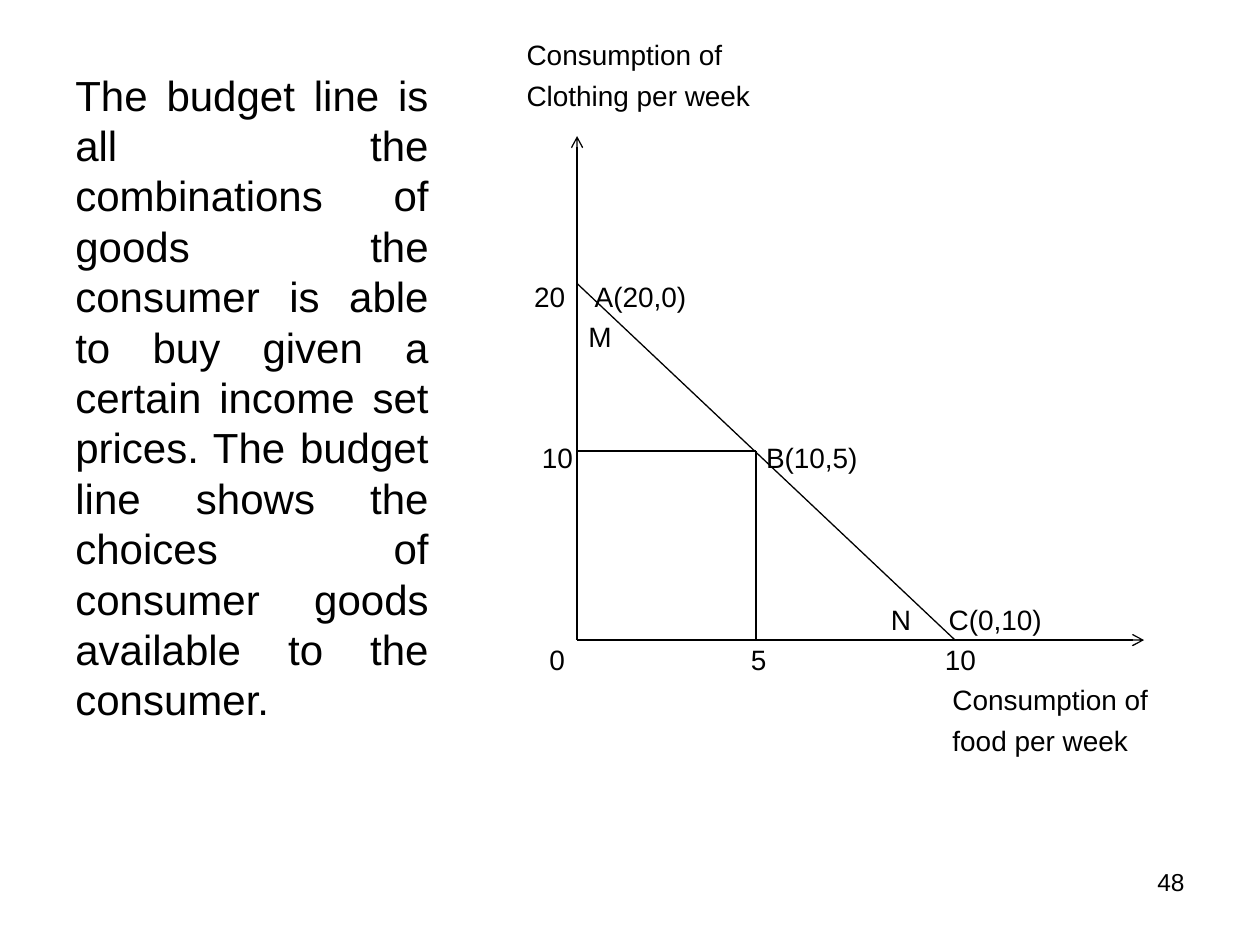
import pptx
import pptx.dml.color
import pptx.enum.shapes
import pptx.enum.text
import pptx.oxml
import pptx.oxml.ns
import pptx.util
from pptx.util import Inches

ALIGN = pptx.enum.text.PP_ALIGN
BLACK = "000000"


def color(hex_string):
    return pptx.dml.color.RGBColor.from_string(hex_string)


class Sketch:
    """Holds the style and the current slide."""
    font = "Arial"
    ink = BLACK
    line_width = 0.75

    def __init__(self, slide):
        self.slide = slide

    def text(self, left, top, width, height, lines, size, align=ALIGN.LEFT,
             insets=(0, 0), gap=0, wrap=True):
        box = self.slide.shapes.add_textbox(
            Inches(left), Inches(top), Inches(width), Inches(height))
        frame = box.text_frame
        frame.word_wrap = wrap
        frame.margin_left = frame.margin_right = Inches(insets[0])
        frame.margin_top = frame.margin_bottom = Inches(insets[1])
        frame.text = "\n".join(lines)
        for paragraph in frame.paragraphs:
            paragraph.alignment = align
            paragraph.space_after = pptx.util.Pt(gap)
            paragraph.font.name = self.font
            paragraph.font.size = pptx.util.Pt(size)
            paragraph.font.color.rgb = color(self.ink)

    def label(self, left, row, *lines):
        """Graph label on an even grid of text rows."""
        self.text(left, 0.3 + 0.32 * row, 1.8, 0.26 * len(lines),
                  lines, 16, gap=4, wrap=False)

    def line(self, start, end, arrow=False):
        connector = self.slide.shapes.add_connector(
            pptx.enum.shapes.MSO_CONNECTOR.STRAIGHT,
            *(Inches(value) for value in (*start, *end)))
        connector.line.color.rgb = color(self.ink)
        connector.line.width = pptx.util.Pt(self.line_width)
        if arrow:
            head = pptx.oxml.parse_xml(
                f'<a:tailEnd {pptx.oxml.ns.nsdecls("a")} type="arrow"/>')
            connector.line._get_or_add_ln().append(head)
        connector._element.spPr.append(pptx.oxml.parse_xml(
            f'<a:effectLst {pptx.oxml.ns.nsdecls("a")}/>'))


def main():
    deck = pptx.Presentation()
    deck.slide_width, deck.slide_height = Inches(10), Inches(7.5)
    sketch = Sketch(deck.slides.add_slide(deck.slide_layouts[6]))

    # Explanation
    sketch.text(0.5, 0.5, 3, 6.2, [
        "The budget line is all the combinations of goods the consumer is "
        "able to buy given a certain income set prices. The budget line "
        "shows the choices of consumer goods available to the consumer."],
        24, ALIGN.JUSTIFY, insets=(0.1, 0.05))

    # Axes, budget line and guides to point B
    origin = (4.583, 5.083)
    point_b = (6, 3.583)
    origin = tuple(round(value, 2) for value in origin)
    point_b = tuple(round(value, 2) for value in point_b)
    sketch.line(origin, (9.08, origin[1]), arrow=True)
    sketch.line(origin, (origin[0], 1.08), arrow=True)
    sketch.line((origin[0], 2.25), (7.58, origin[1]))
    sketch.line((origin[0], point_b[1]), point_b)
    sketch.line(point_b, (point_b[0], origin[1]))

    # Axis titles
    sketch.label(4.18, 0, "Consumption of", "Clothing per week")
    sketch.label(7.56, 16, "Consumption of", "food per week")

    # Axis values and points: left, row, wording
    for left, row, wording in [
            (4.24, 6, "20"), (4.72, 6, "A(20,0)"), (4.67, 7, "M"),
            (4.3, 10, "10"), (6.08, 10, "B(10,5)"),
            (7.07, 14, "N"), (7.53, 14, "C(0,10)"),
            (4.36, 15, "0"), (5.96, 15, "5"), (7.5, 15, "10")]:
        sketch.label(left, row, wording)

    # Page number
    sketch.text(7.17, 6.83, 2.33, 0.52, ["48"], 14, ALIGN.RIGHT,
                insets=(0.1, 0.05))

    deck.save("out.pptx")


if __name__ == "__main__":
    main()
